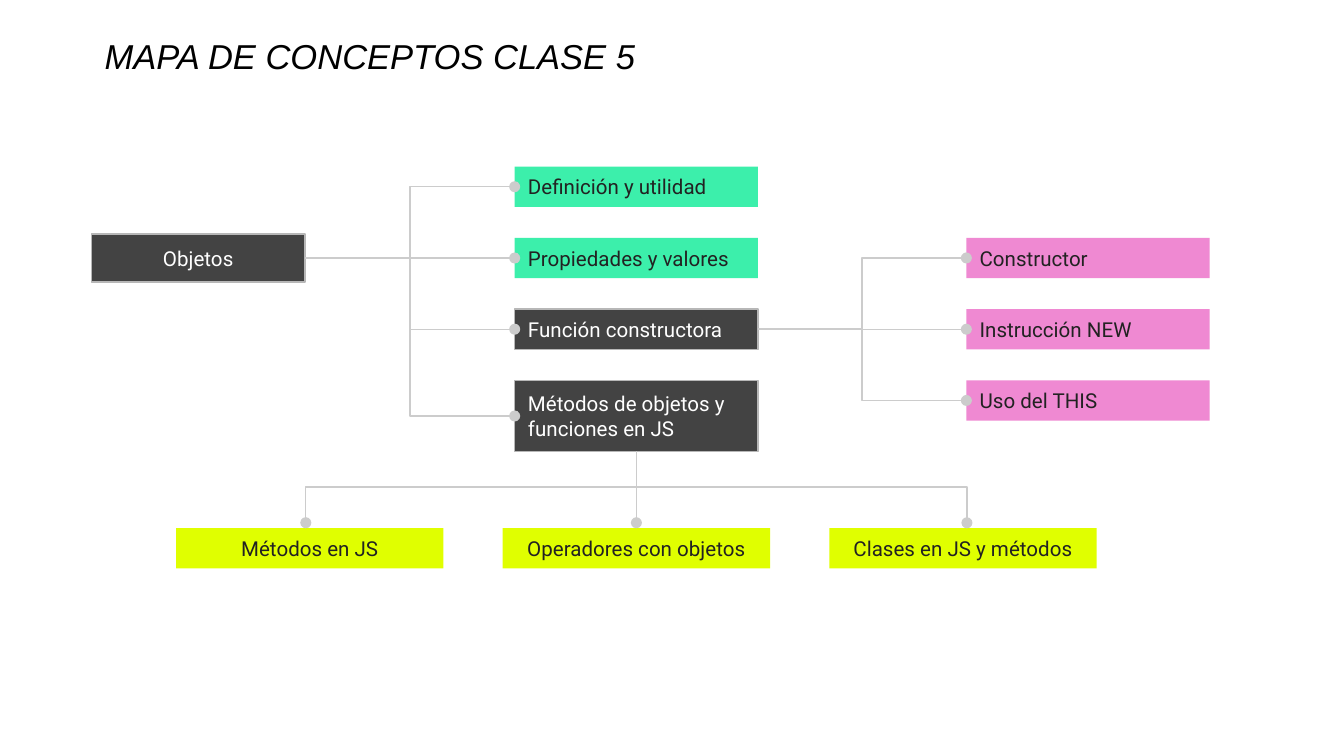
from lxml import etree
from pptx import Presentation
from pptx.dml.color import RGBColor
from pptx.enum.shapes import MSO_CONNECTOR, MSO_SHAPE
from pptx.enum.text import MSO_ANCHOR, PP_ALIGN
from pptx.oxml.ns import qn
from pptx.util import Inches, Pt

BLACK = RGBColor(0x00, 0x00, 0x00)
WHITE = RGBColor(0xFF, 0xFF, 0xFF)
INK = RGBColor(0x22, 0x22, 0x22)
DARK = RGBColor(0x43, 0x43, 0x43)
BORDER = RGBColor(0xB7, 0xB7, 0xB7)
LINK = RGBColor(0xCC, 0xCC, 0xCC)
GREEN = RGBColor(0x3C, 0xEF, 0xAB)
PINK = RGBColor(0xEF, 0x89, 0xD2)
LIME = RGBColor(0xE0, 0xFF, 0x00)

ROW_H, ROW_STEP = 0.3, 0.53
COL_W = 1.81


def write(tf, text, font, size, color, align=PP_ALIGN.LEFT):
    tf.word_wrap = True
    tf.margin_left = tf.margin_right = Inches(0.1)
    tf.margin_top = tf.margin_bottom = Inches(0.1)
    p = tf.paragraphs[0]
    p.alignment = align
    r = p.add_run()
    r.text = text
    r.font.name, r.font.size = font, Pt(size)
    r.font.color.rgb = color
    return p


def add_title(s, x, y, w, h):
    tf = s.shapes.add_textbox(Inches(x), Inches(y), Inches(w), Inches(h)).text_frame
    p = write(tf, "MAPA DE CONCEPTOS CLASE 5", "Arial", 18.5, BLACK)
    p.line_spacing = 0.8
    p.runs[0].font.italic = True


def add_node(s, text, x, y, w, h, fill, align=PP_ALIGN.LEFT):
    sp = s.shapes.add_shape(MSO_SHAPE.RECTANGLE, Inches(x), Inches(y), Inches(w), Inches(h))
    sp.shadow.inherit = False
    sp.fill.solid()
    sp.fill.fore_color.rgb = fill
    if fill == DARK:
        sp.line.color.rgb = BORDER
        sp.line.width = Pt(0.75)
    else:
        sp.line.fill.background()
    sp.text_frame.vertical_anchor = MSO_ANCHOR.MIDDLE
    write(sp.text_frame, text, "Roboto", 11, WHITE if fill == DARK else INK, align)
    return sp


def add_link(s, start, end, downward=False):
    """Elbow line with a dot at its end; a downward one is turned by 90 degrees."""
    (x1, y1), (x2, y2) = start, end
    if downward:
        cx, cy = (x1 + x2) / 2, (y1 + y2) / 2
        dx, dy = (x2 - x1) / 2, (y2 - y1) / 2
        x1, y1, x2, y2 = cx - dy, cy + dx, cx + dy, cy - dx
    cn = s.shapes.add_connector(MSO_CONNECTOR.ELBOW, *(int(v) for v in (x1, y1, x2, y2)))
    cn.line.color.rgb = LINK
    cn.line.width = Pt(0.75)
    spPr = cn._element.spPr
    etree.SubElement(spPr.find(qn("a:ln")), qn("a:tailEnd"), type="oval")
    etree.SubElement(spPr, qn("a:effectLst"))
    if downward:
        spPr.find(qn("a:xfrm")).set("rot", "5400000")


def add_column(s, x, y, items):
    """Stack nodes given as (text, fill, height) at an even step."""
    return [add_node(s, text, x, y + i * ROW_STEP, COL_W, h, fill)
            for i, (text, fill, h) in enumerate(items)]


def add_bottom_row(s, x, y, w, step, texts):
    for i, text in enumerate(texts):
        add_node(s, text, x + i * step, y, w, ROW_H, LIME, PP_ALIGN.CENTER)


def link_right(s, parent, children):
    start = (parent.left + parent.width, parent.top + parent.height / 2)
    for child in children:
        add_link(s, start, (child.left, child.top + child.height / 2))


def link_down(s, parent, spread, drop):
    x, y = parent.left + parent.width / 2, parent.top + parent.height
    for k in (-1, 0, 1):
        add_link(s, (x, y), (x + k * Inches(spread), y + Inches(drop)), downward=True)


def add_concept_map(s, x, y):
    # Nodes
    root = add_node(s, "Objetos", x, y + 0.5, 1.59, 0.36, DARK, PP_ALIGN.CENTER)
    topics = add_column(s, x + 3.15, y, [
        ("Definición y utilidad", GREEN, ROW_H),
        ("Propiedades y valores", GREEN, ROW_H),
        ("Función constructora", DARK, ROW_H),
        ("Métodos de objetos y funciones en JS", DARK, 0.53),
    ])
    details = add_column(s, x + 6.51, y + ROW_STEP, [
        ("Constructor", PINK, ROW_H),
        ("Instrucción NEW", PINK, ROW_H),
        ("Uso del THIS", PINK, ROW_H),
    ])
    add_bottom_row(s, x + 0.63, y + 2.69, 1.99, 2.43,
                   ["Métodos en JS", "Operadores con objetos", "Clases en JS y métodos"])

    # Links, in front so that the dots show over the nodes
    link_right(s, root, topics)
    link_right(s, topics[2], details)
    link_down(s, topics[3], 2.46, 0.53)


def main():
    prs = Presentation()
    prs.slide_width = Inches(10)
    prs.slide_height = prs.slide_width * 9 // 16
    s = prs.slides.add_slide(prs.slide_layouts[6])
    add_title(s, 0.68, 0.22, 7.77, 0.46)
    add_concept_map(s, 0.68, 1.24)
    prs.save("out.pptx")


if __name__ == "__main__":
    main()
